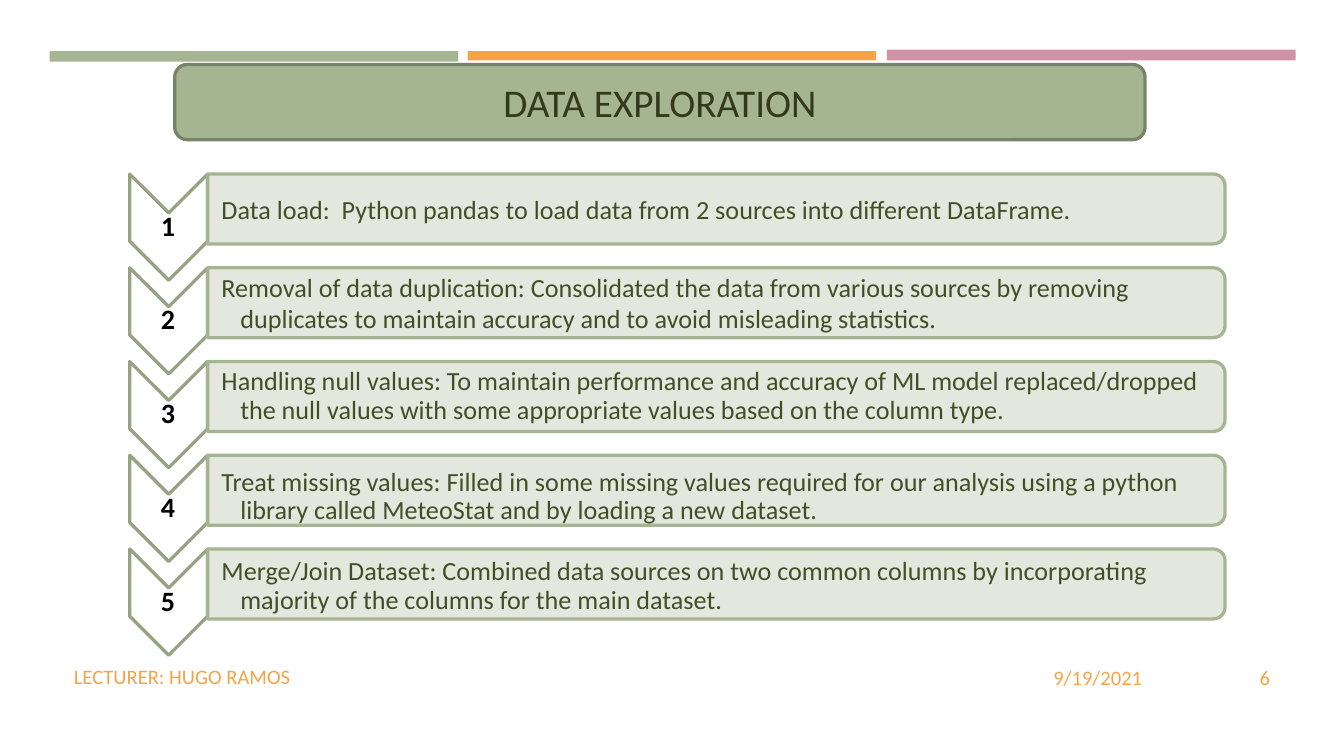
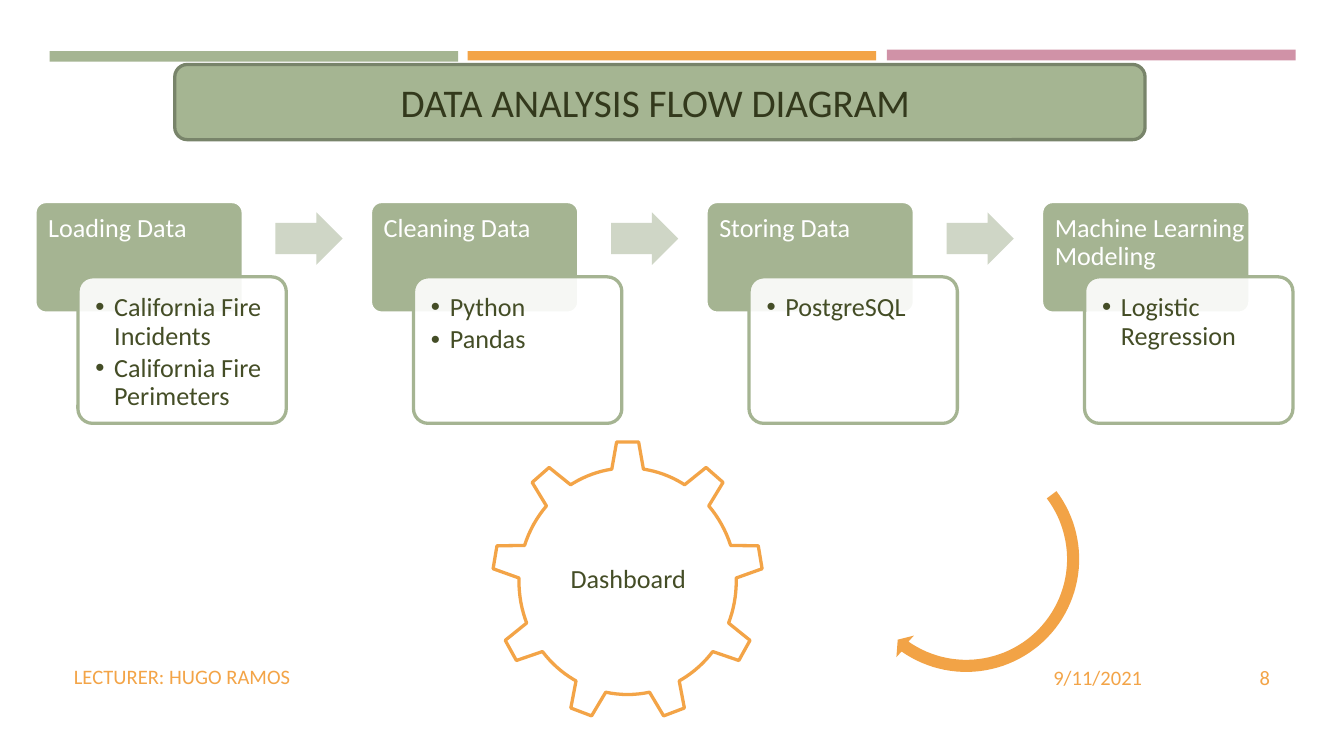
import math
from dataclasses import dataclass

from lxml import etree
from pptx import Presentation
from pptx.dml.color import RGBColor
from pptx.enum import shapes, text
from pptx.oxml.ns import qn
from pptx.util import Inches, Pt

SHAPE = shapes.MSO_SHAPE
ALIGN = text.PP_ALIGN
ANCHOR = text.MSO_ANCHOR


@dataclass(frozen=True)
class Theme:
    font: str = "Calibri"
    white: str = "FFFFFF"
    black: str = "000000"
    green: str = "A5B592"
    sage: str = "A5B492"
    title_edge: str = "78846A"
    title_ink: str = "33391C"
    ink: str = "444D26"
    chevron_edge: str = "95A383"
    step_fill: str = "E0E5DB"
    arrow_fill: str = "CFD6C6"
    orange: str = "F3A447"
    arc_fill: str = "F2A346"
    pink: str = "D092A7"
    title_size: float = 21
    number_size: float = 15
    body_size: float = 14
    footer_size: float = 11
    line_width: float = 1.75


@dataclass(frozen=True)
class Box:
    left: float
    top: float
    width: float
    height: float

    def emu(self) -> tuple:
        return tuple(Inches(v) for v in (self.left, self.top, self.width, self.height))


@dataclass(frozen=True)
class Band:
    box: Box
    color: str


@dataclass(frozen=True)
class Step:
    text: str
    line: float = 0.9
    drop: float = 0


@dataclass(frozen=True)
class Stage:
    heading: str
    items: tuple
    head_width: float = 1.55


T = Theme()
TITLE_BOX = Box(1.3, 0.48, 7.22, 0.56)
PLAIN_INSETS = (0.07, 0.04, 0.07, 0.04)
TITLE_ONLY, COMPARISON = 5, 4

BANDS = (
    Band(Box(0.37, 0.38, 3.04, 0.08), T.green),
    Band(Box(6.6, 0.37, 3.04, 0.08), T.pink),
    Band(Box(3.48, 0.38, 3.04, 0.07), T.orange),
)
STEPS = (
    Step("Data load:  Python pandas to load data from 2 sources into different DataFrame.", 1),
    Step("Removal of data duplication: Consolidated the data from various sources by removing "
         "duplicates to maintain accuracy and to avoid misleading statistics.", 1),
    Step("Handling null values: To maintain performance and accuracy of ML model replaced/dropped "
         "the null values with some appropriate values based on the column type."),
    Step("Treat missing values: Filled in some missing values required for our analysis using a "
         "python library called MeteoStat and by loading a new dataset.", drop=0.05),
    Step("Merge/Join Dataset: Combined data sources on two common columns by incorporating "
         "majority of the columns for the main dataset.", drop=0.02),
)
STAGES = (
    Stage("Loading Data", ("California Fire Incidents", "California Fire Perimeters")),
    Stage("Cleaning Data", ("Python", "Pandas")),
    Stage("Storing Data", ("PostgreSQL",)),
    Stage("Machine Learning Modeling", ("Logistic Regression",), 1.87),
)
STEP_PITCH = 2.79 / (len(STEPS) - 1)
STAGE_PITCH = 7.49 / (len(STAGES) - 1)


def write(tf, *lines: str, size: float = T.body_size, color: str = T.ink, bold: bool = False,
          align=ALIGN.LEFT, anchor=ANCHOR.MIDDLE, insets: tuple = PLAIN_INSETS,
          line: float = 1, gap: float = 0, hang: float = 0, bullet: str = "") -> None:
    """Fill a text frame, one paragraph a line; gap is the space between them in points."""
    tf.word_wrap = True
    tf.auto_size = text.MSO_AUTO_SIZE.NONE
    tf.vertical_anchor = anchor
    tf.margin_left, tf.margin_top, tf.margin_right, tf.margin_bottom = map(Inches, insets)
    for i, content in enumerate(lines):
        p = tf.add_paragraph() if i else tf.paragraphs[0]
        p.alignment = align
        p.line_spacing = line
        p.space_before = Pt(gap if i else 0)
        r = p.add_run()
        r.text = content
        r.font.name, r.font.size, r.font.bold = T.font, Pt(size), bold
        r.font.color.rgb = RGBColor.from_string(color)
        if hang:
            pPr = p._p.get_or_add_pPr()
            pPr.set("marL", str(Inches(hang)))
            pPr.set("indent", str(-Inches(hang)))
            if bullet:
                clr = etree.SubElement(pPr, qn("a:buClr"))
                etree.SubElement(clr, qn("a:srgbClr"), val=color)
                etree.SubElement(pPr, qn("a:buFont"), typeface="Arial")
                etree.SubElement(pPr, qn("a:buChar"), char=bullet)


def add_label(slide, box: Box, content: str, **fmt) -> None:
    write(slide.shapes.add_textbox(*box.emu()).text_frame, content, **fmt)


def paint(sp, fill: str, line: str = "", alpha: int = 100) -> None:
    sp.shadow.inherit = False
    sp.fill.solid()
    sp.fill.fore_color.rgb = RGBColor.from_string(fill)
    if alpha < 100:
        clr = sp.element.spPr.find(qn("a:solidFill"))[0]
        etree.SubElement(clr, qn("a:alpha"), val=str(alpha * 1000))
    if line:
        sp.line.color.rgb = RGBColor.from_string(line)
        sp.line.width = Pt(T.line_width)
    else:
        sp.line.fill.background()


def add_shape(slide, kind, box: Box, fill: str, line: str = "", alpha: int = 100,
              adj: tuple = (), rotation: float = 0):
    sp = slide.shapes.add_shape(kind, *box.emu())
    paint(sp, fill, line, alpha)
    for i, value in enumerate(adj):
        sp.adjustments[i] = value
    sp.rotation = rotation
    return sp


def place(slide, placeholder, box: Box) -> None:
    """Move a placeholder to a box and bring it to the front."""
    placeholder.left, placeholder.top, placeholder.width, placeholder.height = box.emu()
    slide.shapes.element.append(placeholder.element)


def add_bands_to_master(prs, slide) -> None:
    for i, band in enumerate(BANDS):
        sp = add_shape(slide, SHAPE.RECTANGLE, band.box, band.color)
        sp.element.nvSpPr.cNvPr.set("id", str(100 + i))
        prs.slide_master.shapes.element.append(sp.element)


def add_title(slide, title: str) -> None:
    add_shape(slide, SHAPE.ROUNDED_RECTANGLE, TITLE_BOX, T.green, T.title_edge, adj=(0.167,))
    place(slide, slide.shapes.title, TITLE_BOX)
    write(slide.shapes.title.text_frame, title, size=T.title_size, color=T.title_ink,
          align=ALIGN.CENTER)


def add_footer(slide, date: str, number: str) -> None:
    for box, content, align in (
        (Box(6.24, 4.89, 2.33, 0.3), date, ALIGN.RIGHT),
        (Box(0.48, 4.88, 5.67, 0.3), "LECTURER: HUGO RAMOS", ALIGN.LEFT),
        (Box(8.66, 4.89, 0.86, 0.3), number, ALIGN.RIGHT),
    ):
        add_label(slide, box, content, size=T.footer_size, color=T.orange, align=align)


def add_step(slide, index: int, step: Step) -> None:
    y = index * STEP_PITCH
    add_shape(slide, SHAPE.CHEVRON, Box(0.86, 1.4 + y, 0.79, 0.58), T.white, T.chevron_edge,
              adj=(0.5,), rotation=90)
    add_label(slide, Box(0.96, 1.57 + y, 0.58, 0.24), str(index + 1), size=T.number_size,
              color=T.black, bold=True, align=ALIGN.CENTER, insets=(0.01,) * 4, line=0.9)
    add_shape(slide, SHAPE.ROUND_2_SAME_RECTANGLE, Box(5.07, -2.23 + y, 0.52, 7.57),
              T.step_fill, T.sage, alpha=90, adj=(0.167, 0), rotation=90)
    add_label(slide, Box(1.55, 1.32 + y + step.drop, 7.54, 0.47), step.text,
              insets=(0.1, 0.01, 0.01, 0.01), line=step.line, hang=0.14)


def add_stage(slide, index: int, stage: Stage, body) -> None:
    x = 0.26 + index * STAGE_PITCH
    add_shape(slide, SHAPE.ROUNDED_RECTANGLE, Box(x, 1.5, 1.55, 0.83), T.sage, T.white, adj=(0.1,))
    add_label(slide, Box(x, 1.5, stage.head_width, 0.55), stage.heading, color=T.white,
              anchor=ANCHOR.TOP, insets=(0.1, 0.1, 0.1, 0.06), line=0.9)
    add_shape(slide, SHAPE.ROUNDED_RECTANGLE, Box(x + 0.32, 2.06, 1.55, 1.09), T.white, T.sage,
              alpha=90, adj=(0.1,))
    place(slide, body, Box(x + 0.35, 2.09, 1.49, 1.03))
    write(body.text_frame, *stage.items, anchor=ANCHOR.TOP, insets=(0.1,) * 4, line=0.9, gap=2,
          hang=0.14, bullet="•")
    if index < len(STAGES) - 1:
        add_shape(slide, SHAPE.RIGHT_ARROW, Box(x + 1.79, 1.58, 0.5, 0.39), T.arrow_fill,
                  adj=(0.6, 0.5))


def add_dashboard_gear(slide) -> None:
    add_shape(slide, SHAPE.GEAR_9, Box(3.66, 3.28, 2.02, 2.09), T.white, T.orange)
    add_label(slide, Box(4.07, 3.77, 1.21, 1.09), "Dashboard", align=ALIGN.CENTER,
              insets=(0.02,) * 4, line=0.9)


def add_return_arrow(slide) -> None:
    """Draw the curved arrow that leads from the last stage to the dashboard."""
    cx, cy, outer, inner = 7.19, 4.16, 0.84, 0.75
    angles = [math.radians(a) for a in range(-37, 127, 3)]

    def arc(radius: float, turn: list) -> list:
        return [(cx + radius * math.cos(a), cy + radius * math.sin(a)) for a in turn]

    head = [(6.67, 4.89), (6.68, 4.76), (6.8, 4.73)]
    points = arc(outer, angles) + head + arc(inner, angles[::-1])
    emu = [(Inches(x), Inches(y)) for x, y in points]
    builder = slide.shapes.build_freeform(*emu[0])
    builder.add_line_segments(emu[1:], close=True)
    paint(builder.convert_to_shape(), T.arc_fill)


def build_exploration(prs) -> None:
    slide = prs.slides.add_slide(prs.slide_layouts[TITLE_ONLY])
    add_bands_to_master(prs, slide)
    for i, step in enumerate(STEPS):
        add_step(slide, i, step)
    add_footer(slide, "9/19/2021", "6")
    add_title(slide, "DATA EXPLORATION")


def build_flow(prs) -> None:
    slide = prs.slides.add_slide(prs.slide_layouts[COMPARISON])
    bodies = [ph for ph in slide.placeholders if ph.placeholder_format.idx > 0]
    add_footer(slide, "9/11/2021", "8")
    for i, (stage, body) in enumerate(zip(STAGES, bodies)):
        add_stage(slide, i, stage, body)
    add_dashboard_gear(slide)
    add_return_arrow(slide)
    add_title(slide, "DATA ANALYSIS FLOW DIAGRAM ")


def main() -> None:
    prs = Presentation()
    prs.slide_width = Inches(10)
    prs.slide_height = prs.slide_width * 9 // 16
    build_exploration(prs)
    build_flow(prs)
    prs.save("out.pptx")


if __name__ == "__main__":
    main()
